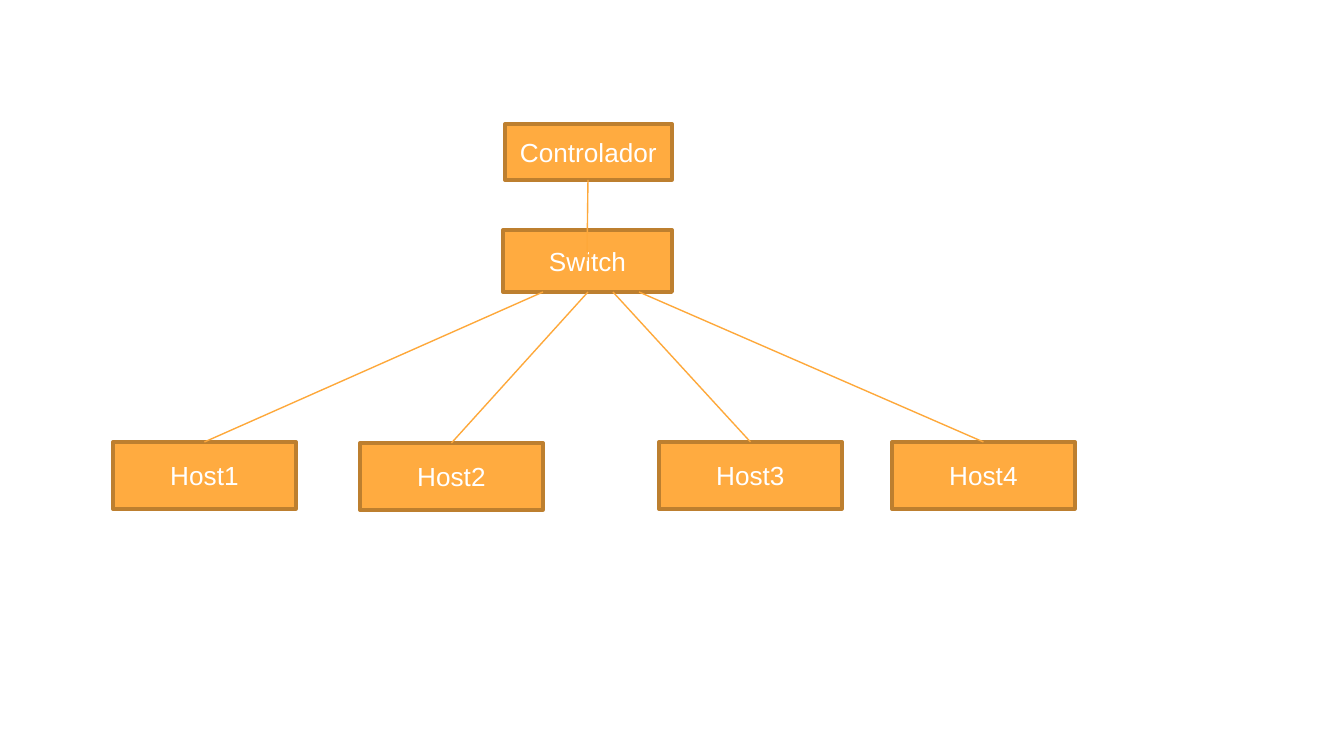
"""Build a network diagram slide: a controller, a switch and four hosts."""
from lxml import etree
from pptx import Presentation
from pptx import util as u
from pptx.dml.color import RGBColor
from pptx.enum import shapes, text
from pptx.oxml.ns import qn

PX = 914400 / 134.4
COLORS = {"box": "FFAB40", "border": "BD7F2F", "link": "FEA83A", "text": "FFFFFF"}
FONT = {"name": "Arial", "size": u.Pt(14)}
FRAME = {"word_wrap": True, "vertical_anchor": text.MSO_ANCHOR.MIDDLE,
         "margin_left": 0, "margin_right": 0}


def px(*values):
    return [u.Emu(round(v * PX)) for v in values]


def rgb(name):
    return RGBColor.from_string(COLORS[name])


prs = Presentation()
prs.slide_width, prs.slide_height = px(1344, 756)
s = prs.slides.add_slide(prs.slide_layouts[6])

host_w, host_h = 183, 67
hosts = [(113, 442), (360, 443), (659, 442), (892, 442)]
boxes = [("Controlador", 505, 124, 167, 56), ("Switch", 503, 230, 169, 62)]
boxes += [(f"Host{i}", x, y, host_w, host_h) for i, (x, y) in enumerate(hosts, 1)]

for label, *place in boxes:
    sp = s.shapes.add_shape(shapes.MSO_SHAPE.RECTANGLE, *px(*place))
    sp.shadow.inherit = False
    sp.fill.solid()
    sp.fill.fore_color.rgb = rgb("box")
    sp.line.color.rgb = rgb("border")
    sp.line.width = u.Pt(2)
    tf = sp.text_frame
    for key, value in FRAME.items():
        setattr(tf, key, value)
    p = tf.paragraphs[0]
    p.alignment = text.PP_ALIGN.CENTER
    r = p.add_run()
    r.text = label
    for key, value in FONT.items():
        setattr(r.font, key, value)
    r.font.color.rgb = rgb("text")

switch_ports = [543, 588, 613, 639]
links = [(588, 180, 587, 261)]
links += [(port, 292, x + host_w / 2, y) for port, (x, y) in zip(switch_ports, hosts)]

for ends in links:
    c = s.shapes.add_connector(shapes.MSO_CONNECTOR.STRAIGHT, *px(*ends))
    c.line.color.rgb = rgb("link")
    c.line.width = u.Pt(0.75)
    etree.SubElement(c._element.spPr, qn("a:effectLst"))

prs.save("out.pptx")
